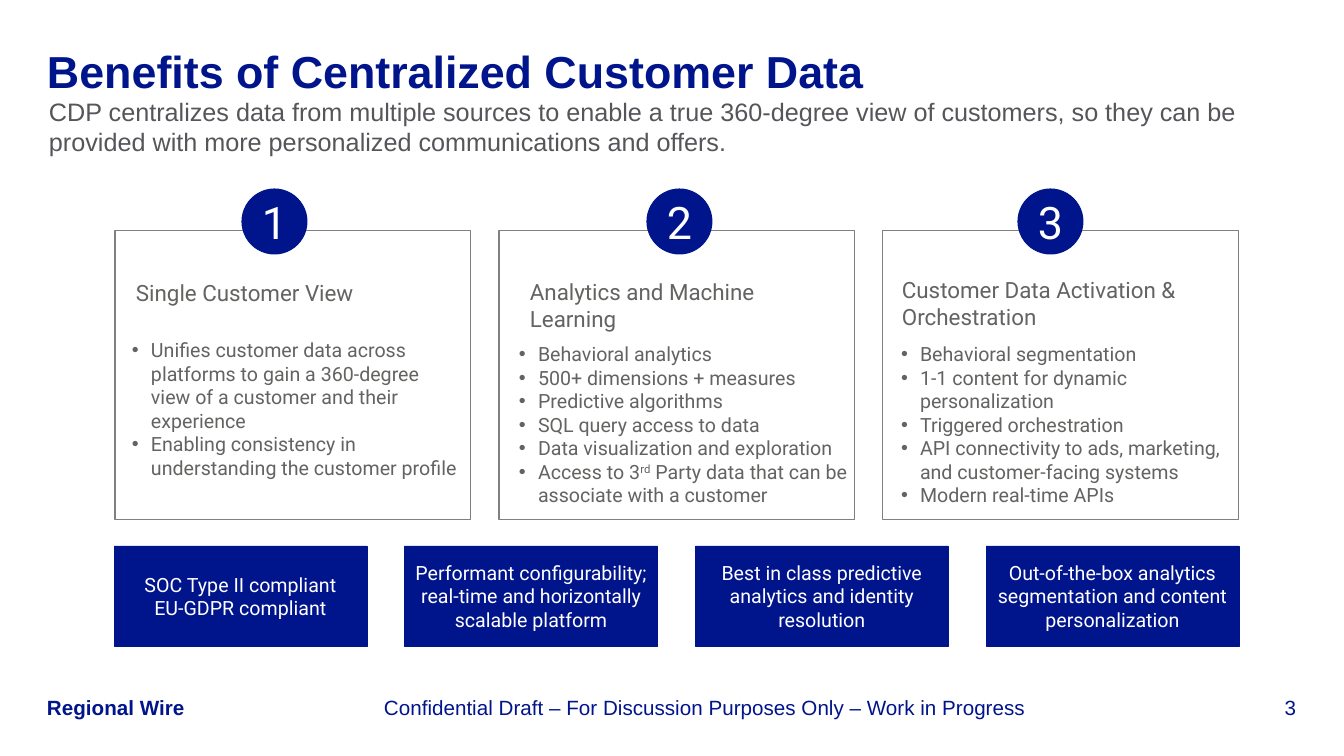
import pptx
import pptx.util
import pptx.dml.color
import pptx.enum.shapes
import pptx.enum.text
import lxml.etree

TITLE = "Benefits of Centralized Customer Data"
LEAD = ("CDP centralizes data from multiple sources to enable a true 360-degree view of customers, "
        "so they can be provided with more personalized communications and offers.")

# A point is a list of (text, raised) runs or a plain string
CARDS = [
    {"head": "Single Customer View", "head_at": (136, 279), "list_at": (132, 338), "disc": 242,
     "points": [
         "Unifies customer data across platforms to gain a 360-degree view of a customer "
         "and their experience",
         "Enabling consistency in understanding the customer profile"]},
    {"head": "Analytics and Machine Learning", "head_at": (530, 278), "list_at": (519, 342), "disc": 647,
     "points": [
         "Behavioral analytics",
         "500+ dimensions + measures",
         "Predictive algorithms",
         "SQL query access to data",
         "Data visualization and exploration",
         [("Access to 3", False), ("rd", True),
          (" Party data that can be associate with a customer", False)]]},
    {"head": "Customer Data Activation & Orchestration", "head_at": (902, 276), "list_at": (901, 342),
     "disc": 1018,
     "points": [
         "Behavioral segmentation",
         "1-1 content for dynamic personalization",
         "Triggered orchestration",
         "API connectivity to ads, marketing, and customer-facing systems",
         "Modern real-time APIs"]},
]
BARS = [
    ["SOC Type II compliant", "EU-GDPR compliant"],
    ["Performant configurability; real-time and horizontally scalable platform"],
    ["Best in class predictive analytics and identity resolution"],
    ["Out-of-the-box analytics segmentation and content personalization"],
]
OWNER = "Regional Wire"
NOTICE = "Confidential Draft – For Discussion Purposes Only – Work in Progress"
PAGE = "3"

# Style: (font, points, colour, bold)
NAVY, GREY, RULE, WHITE = "00148C", "636361", "808083", "FFFFFF"
THEME = {
    "title": ("Arial", 32, NAVY, True),
    "lead": ("Arial", 18, "55555A", False),
    "head": ("Roboto", 16, GREY, False),
    "point": ("Roboto", 14, GREY, False),
    "disc": ("Roboto", 32, WHITE, False),
    "bar": ("Roboto", 14, WHITE, False),
    "foot": ("Arial", 14.7, NAVY, False),
    "owner": ("Arial", 14.7, NAVY, True),
}

ALIGN = pptx.enum.text.PP_ALIGN
ANCHOR = pptx.enum.text.MSO_ANCHOR
SHAPE = pptx.enum.shapes.MSO_SHAPE
SCALE = 914400 / 100.8


def px(n):
    return pptx.util.Emu(round(n * SCALE))


def rgb(code):
    return pptx.dml.color.RGBColor.from_string(code)


def bullet(para, indent):
    props = para._p.get_or_add_pPr()
    props.set("marL", str(px(indent)))
    props.set("indent", str(-px(indent)))
    tag = pptx.oxml.ns.qn("a:buFont")
    lxml.etree.SubElement(props, tag, typeface="Arial")
    lxml.etree.SubElement(props, pptx.oxml.ns.qn("a:buChar"), char="•")


def write(shape, lines, style, align=ALIGN.LEFT, anchor=ANCHOR.TOP, inset=0, indent=0):
    face, size, color, bold = THEME[style]
    frame = shape.text_frame
    frame.word_wrap = True
    frame.vertical_anchor = anchor
    frame.margin_left = frame.margin_right = px(inset)
    frame.margin_top = frame.margin_bottom = 0
    for i, line in enumerate(lines):
        para = frame.add_paragraph() if i else frame.paragraphs[0]
        para.alignment = align
        if indent:
            bullet(para, indent)
        for text, raised in [(line, False)] if isinstance(line, str) else line:
            run = para.add_run()
            run.text = text
            font = run.font
            font.name, font.size, font.bold = face, pptx.util.Pt(size), bold
            font.color.rgb = rgb(color)
            if raised:
                run._r.get_or_add_rPr().set("baseline", "30000")


def label(slide, box, lines, style, **more):
    write(slide.shapes.add_textbox(*map(px, box)), lines, style, **more)


def block(slide, kind, box, fill, line, width):
    shape = slide.shapes.add_shape(kind, *map(px, box))
    shape.shadow.inherit = False
    if fill:
        shape.fill.solid()
        shape.fill.fore_color.rgb = rgb(fill)
    else:
        shape.fill.background()
    shape.line.color.rgb = rgb(line)
    shape.line.width = pptx.util.Pt(width)
    return shape


def main():
    deck = pptx.Presentation()
    deck.slide_width, deck.slide_height = px(1344), px(756)
    slide = deck.slides.add_slide(deck.slide_layouts[6])

    # Heading
    label(slide, (47, 39, 1249, 64), [TITLE], "title", anchor=ANCHOR.MIDDLE)
    label(slide, (49, 96, 1268, 61), [LEAD], "lead")

    # Numbered cards
    left, wide, gap = 115, 356, 28
    for i, card in enumerate(CARDS):
        block(slide, SHAPE.RECTANGLE, (left + i * (wide + gap), 231, wide, 289), None, RULE, 0.75)
        label(slide, (*card["head_at"], 305, 54), [card["head"]], "head")
        label(slide, (*card["list_at"], 330, 166), card["points"], "point", indent=19)
        disc = block(slide, SHAPE.OVAL, (card["disc"], 189, 65, 65), NAVY, NAVY, 0.75)
        write(disc, [str(i + 1)], "disc", ALIGN.CENTER, ANCHOR.MIDDLE)

    # Bars spread evenly between both edges
    left, right, wide = 114, 1239, 253
    step = (right - left - wide) / (len(BARS) - 1)
    for i, lines in enumerate(BARS):
        bar = block(slide, SHAPE.RECTANGLE, (left + i * step, 546, wide, 100), NAVY, NAVY, 0.5)
        write(bar, lines, "bar", ALIGN.CENTER, ANCHOR.MIDDLE, inset=10)

    # Footer
    top, high = 695, 25
    label(slide, (47, top, 160, high), [OWNER], "owner", anchor=ANCHOR.BOTTOM)
    label(slide, (384, top, 736, high), [NOTICE], "foot", anchor=ANCHOR.BOTTOM)
    label(slide, (1218, top, 78, high), [PAGE], "foot", align=ALIGN.RIGHT, anchor=ANCHOR.BOTTOM)

    deck.save("out.pptx")


if __name__ == "__main__":
    main()
